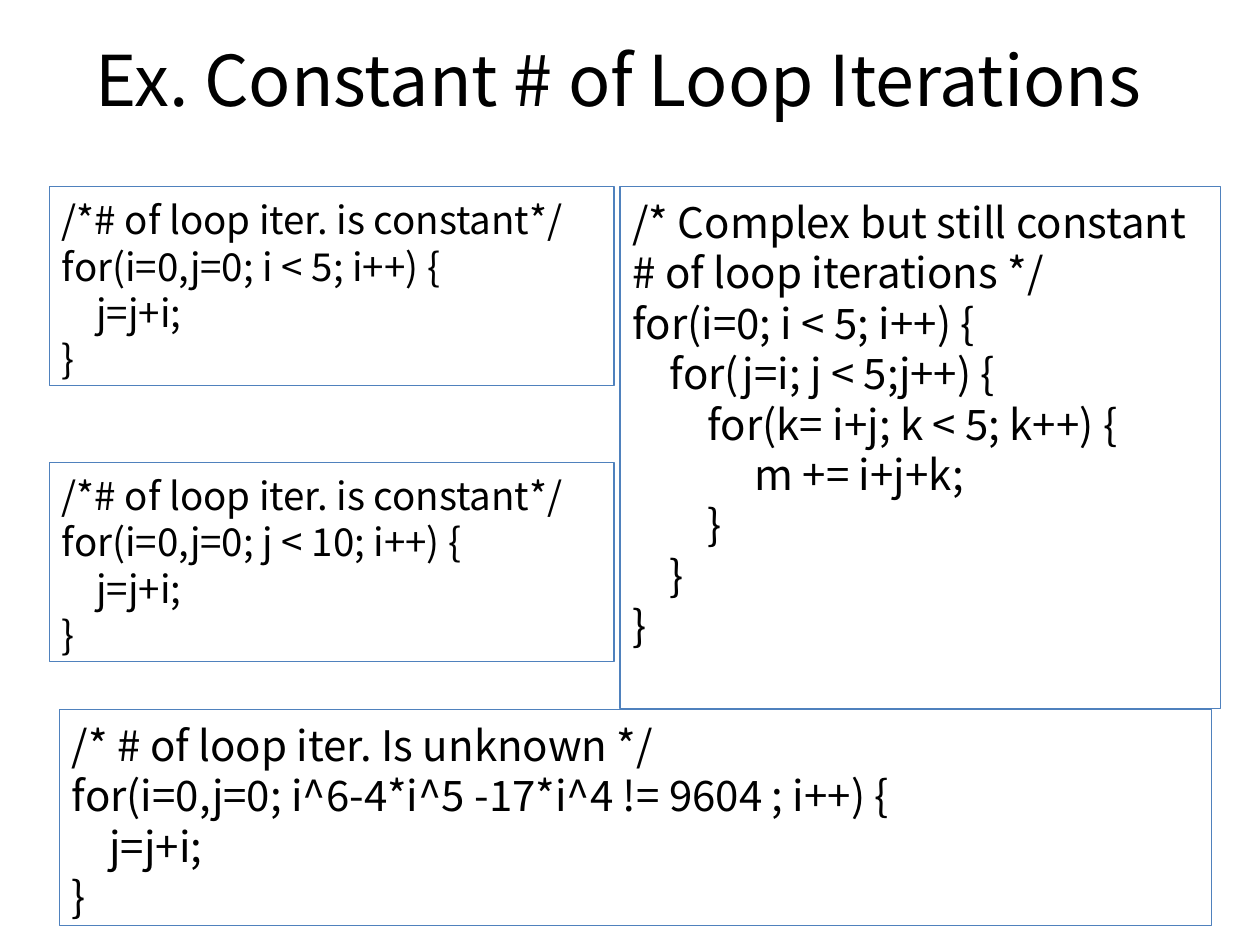
import pptx
import pptx.dml.color
import pptx.enum.shapes
import pptx.enum.text
import pptx.util

Cm = pptx.util.Cm
Pt = pptx.util.Pt

COLOURS = {"text": "000000", "outline": "4F81BD", "background": "FFFFFF"}

CONSTANT_LOOP = """/*# of loop iter. is constant*/
for(i=0,j=0; i < 5; i++) {
    j=j+i;
}"""

SUM_BOUNDED_LOOP = """/*# of loop iter. is constant*/
for(i=0,j=0; j < 10; i++) {
    j=j+i;
}"""

NESTED_LOOPS = """/* Complex but still constant
# of loop iterations */
for(i=0; i < 5; i++) {
    for(j=i; j < 5;j++) {
        for(k= i+j; k < 5; k++) {
             m += i+j+k;
        }
    }
}"""

UNKNOWN_LOOP = """/* # of loop iter. Is unknown */
for(i=0,j=0; i^6-4*i^5 -17*i^4 != 9604 ; i++) {
    j=j+i;
}"""


def colour(name):
    return pptx.dml.color.RGBColor.from_string(COLOURS[name])


class SlideBuilder:
    font_name = "Noto Sans CJK KR"
    line_height = 1.2

    def __init__(self, slide):
        self.slide = slide
        slide.background.fill.solid()
        slide.background.fill.fore_color.rgb = colour("background")

    def add_run(self, paragraph, text, size):
        run = paragraph.add_run()
        run.text = text
        run.font.name = self.font_name
        run.font.size = Pt(size)
        run.font.color.rgb = colour("text")

    def title(self, text, left, top, width, height):
        shape = self.slide.shapes.add_textbox(Cm(left), Cm(top), Cm(width), Cm(height))
        frame = shape.text_frame
        frame.word_wrap = True
        frame.vertical_anchor = pptx.enum.text.MSO_ANCHOR.MIDDLE
        paragraph = frame.paragraphs[0]
        paragraph.alignment = pptx.enum.text.PP_ALIGN.CENTER
        self.add_run(paragraph, text, 40)

    def code_box(self, code, size, left, top, width, height):
        shape = self.slide.shapes.add_shape(
            pptx.enum.shapes.MSO_SHAPE.RECTANGLE,
            Cm(left), Cm(top), Cm(width), Cm(height))
        shape.shadow.inherit = False
        shape.fill.background()
        shape.line.color.rgb = colour("outline")
        shape.line.width = Pt(0.75)
        frame = shape.text_frame
        frame.word_wrap = True
        frame.vertical_anchor = pptx.enum.text.MSO_ANCHOR.TOP
        frame.margin_top = Cm(0.2)
        for index, line in enumerate(code.splitlines()):
            paragraph = frame.add_paragraph() if index else frame.paragraphs[0]
            paragraph.alignment = pptx.enum.text.PP_ALIGN.LEFT
            paragraph.line_spacing = Pt(size * self.line_height)
            self.add_run(paragraph, line, size)


def main():
    presentation = pptx.Presentation()
    presentation.slide_width = Cm(25.4)
    presentation.slide_height = Cm(19.05)
    builder = SlideBuilder(presentation.slides.add_slide(presentation.slide_layouts[6]))

    for code, top in ((CONSTANT_LOOP, 3.76), (SUM_BOUNDED_LOOP, 9.32)):
        builder.code_box(code, 22, 1, top, 11.38, 4.02)
    builder.code_box(NESTED_LOOPS, 24, 12.5, 3.76, 12.1, 10.53)
    builder.title("Ex. Constant # of Loop Iterations ", 1.2, 0, 22.86, 3.18)
    builder.code_box(UNKNOWN_LOOP, 24, 1.2, 14.3, 23.22, 4.36)

    presentation.save("out.pptx")


if __name__ == "__main__":
    main()
